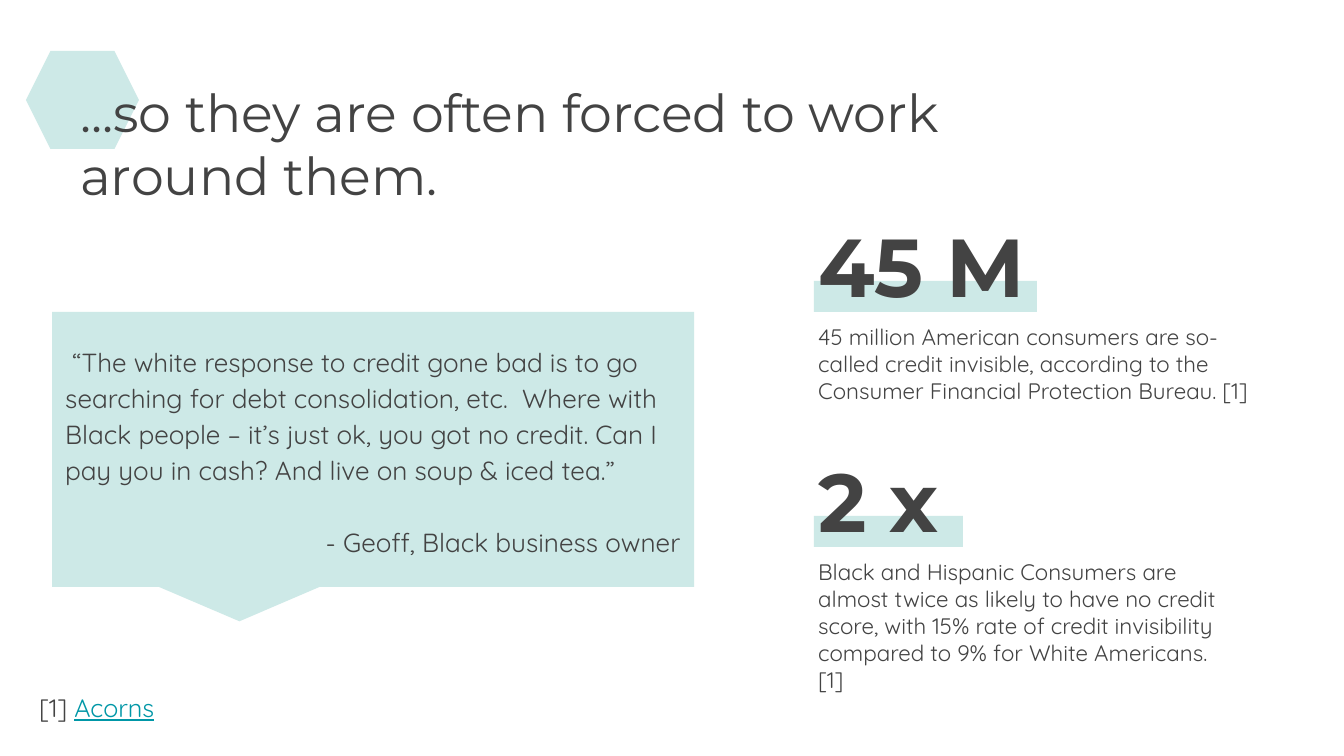
import pptx
import pptx.util
import pptx.dml.color
import pptx.enum.shapes
import pptx.enum.text

SCALE = 914400 / 134.4
INK, MINT, TEAL = "434343", "CDE9E7", "0097A7"
HEADING, BODY = "Montserrat", "Quicksand"
SHAPE = pptx.enum.shapes.MSO_SHAPE
ALIGN = pptx.enum.text.PP_ALIGN
ANCHOR = pptx.enum.text.MSO_ANCHOR

TITLE = "...so they are often forced to work around them."
QUOTE = (" “The white response to credit gone bad is to go searching for debt "
         "consolidation, etc.  Where with Black people – it’s just ok, you got no "
         "credit. Can I pay you in cash? And live on soup & iced tea.”")
SPEAKER = "- Geoff, Black business owner"
STATS = [
    {"figure": "45 M", "figure_width": 243, "bar_width": 223, "detail_box": (465, 109),
     "detail": "45 million American consumers are so-called credit invisible, "
               "according to the Consumer Financial Protection Bureau. [1]"},
    {"figure": "2 x", "figure_width": 263, "bar_width": 149, "detail_box": (445, 136),
     "detail": "Black and Hispanic Consumers are almost twice as likely to have no "
               "credit score, with 15% rate of credit invisibility compared to 9% "
               "for White Americans. [1]"},
]
STAT_LEFT, STAT_TOP, STAT_PITCH = 805, 202, 235


def px(length):
    return pptx.util.Emu(round(length * SCALE))


def color(value):
    return pptx.dml.color.RGBColor.from_string(value)


def add_block(kind, box, adjustments=()):
    block = slide.shapes.add_shape(kind, *map(px, box))
    block.shadow.inherit = False
    block.fill.solid()
    block.fill.fore_color.rgb = color(MINT)
    block.line.fill.background()
    for index, value in enumerate(adjustments):
        block.adjustments[index] = value
    return block


def add_frame(holder, anchor=ANCHOR.TOP):
    frame = holder.text_frame
    frame.word_wrap = True
    frame.vertical_anchor = anchor
    frame.margin_left = frame.margin_right = pptx.util.Inches(0.1)
    frame.margin_top = frame.margin_bottom = pptx.util.Inches(0.1)
    return frame


def add_box(*box):
    return add_frame(slide.shapes.add_textbox(*map(px, box))).paragraphs[0]


def write(paragraph, text, size, font=BODY, ink=INK, bold=False, underline=False,
          align=ALIGN.LEFT, spacing=1.0, before=0):
    paragraph.alignment = align
    paragraph.line_spacing = spacing
    paragraph.space_before = pptx.util.Pt(before)
    run = paragraph.add_run()
    run.text = text
    run.font.name = font
    run.font.size = pptx.util.Pt(size)
    run.font.color.rgb = color(ink)
    run.font.bold = bold
    run.font.underline = underline


deck = pptx.Presentation()
deck.slide_width, deck.slide_height = px(1344), px(756)
slide = deck.slides.add_slide(deck.slide_layouts[6])

add_block(SHAPE.HEXAGON, (26, 51, 113, 98), (0.25, 1.155))
write(add_box(67, 67, 970, 153), TITLE, 28, font=HEADING)

callout = add_block(SHAPE.ROUNDED_RECTANGULAR_CALLOUT, (52, 312, 642, 275),
                    (-0.208, 0.625, 0))
speech = add_frame(callout, ANCHOR.MIDDLE)
write(speech.paragraphs[0], QUOTE, 14, spacing=1.15)
write(speech.add_paragraph(), SPEAKER, 14, align=ALIGN.RIGHT, spacing=1.15, before=19)

for index, stat in enumerate(STATS):
    top = STAT_TOP + index * STAT_PITCH
    add_block(SHAPE.RECTANGLE, (STAT_LEFT + 9, top + 79, stat["bar_width"], 31))
    write(add_box(STAT_LEFT, top, stat["figure_width"], 126), stat["figure"], 44,
          font=HEADING, bold=True)
    write(add_box(STAT_LEFT, top + 108, *stat["detail_box"]), stat["detail"], 12)

source = add_box(26, 679, 441, 58)
write(source, "[1] ", 13.5)
write(source, "Acorns", 13.5, ink=TEAL, underline=True)

deck.save("out.pptx")
